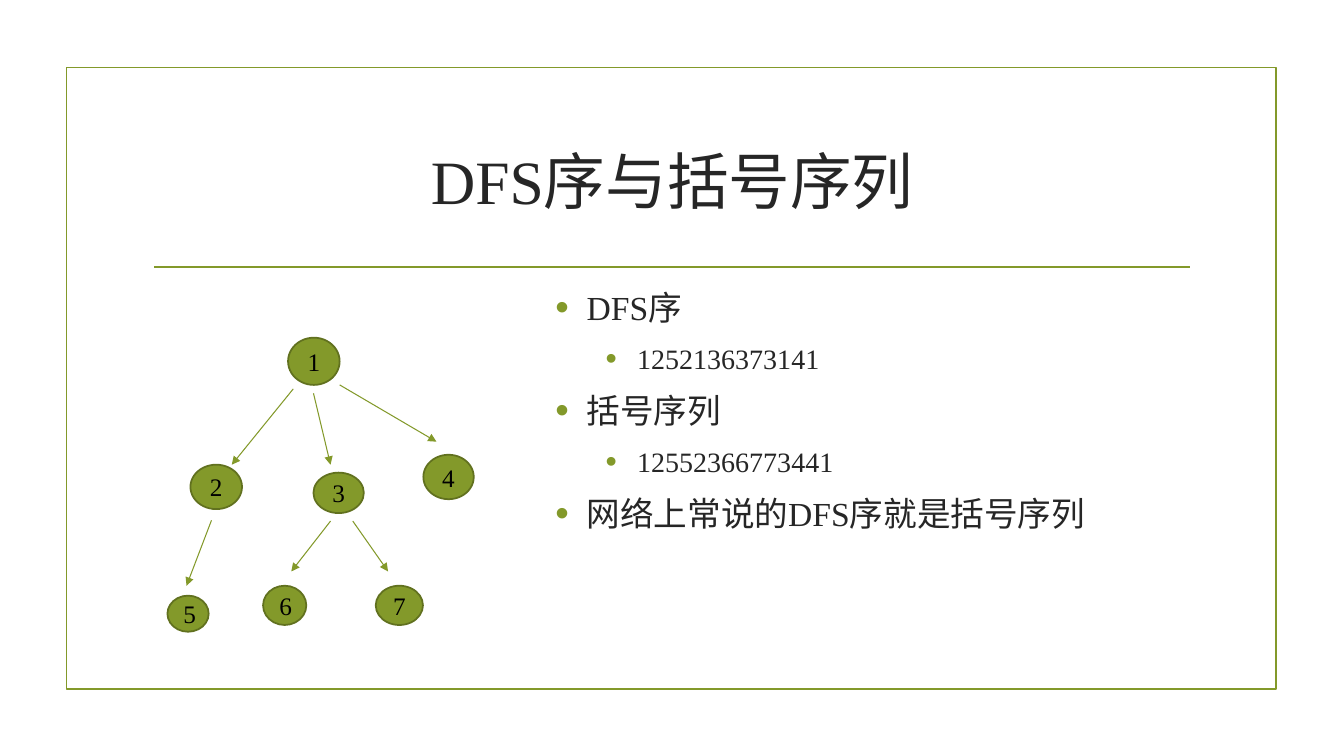
from lxml.etree import SubElement
from pptx import Presentation
from pptx.dml.color import RGBColor
from pptx.enum.shapes import MSO_CONNECTOR, MSO_SHAPE
from pptx.enum.text import MSO_ANCHOR, MSO_AUTO_SIZE, PP_ALIGN
from pptx.oxml.ns import qn
from pptx.util import Cm, Pt

COLORS = {
    "green": "83992A",
    "dark_green": "61711F",
    "text": "262626",
    "label": "000000",
}
FONT = "Times New Roman"

NODES = [
    ("1", 7.26, 8.51, 1.30, 1.19),
    ("2", 4.80, 11.71, 1.30, 1.12),
    ("3", 7.90, 11.91, 1.27, 1.02),
    ("4", 10.67, 11.46, 1.27, 1.12),
    ("5", 4.22, 15.01, 1.04, 0.91),
    ("6", 6.63, 14.76, 1.09, 0.99),
    ("7", 9.47, 14.76, 1.19, 0.99),
]
EDGES = [
    (7.39, 9.80, 5.84, 11.71),
    (7.90, 9.91, 8.33, 11.71),
    (8.56, 9.70, 11.00, 11.13),
    (5.33, 13.11, 4.70, 14.76),
    (8.33, 13.13, 7.34, 14.40),
    (8.89, 13.13, 9.78, 14.40),
]
POINTS = [
    ("DFS序", 0),
    ("1252136373141", 1),
    ("括号序列", 0),
    ("12552366773441", 1),
    ("网络上常说的DFS序就是括号序列", 0),
]


def color(name):
    return RGBColor.from_string(COLORS[name])


def place(placeholder, left, top, width, height):
    placeholder.left, placeholder.top = Cm(left), Cm(top)
    placeholder.width, placeholder.height = Cm(width), Cm(height)


def set_font(paragraph, size, color_name):
    paragraph.font.name = FONT
    paragraph.font.size = Pt(size)
    paragraph.font.color.rgb = color(color_name)


def set_outline(line, color_name, width):
    line.color.rgb = color(color_name)
    line.width = Pt(width)


def add_frame(slide):
    frame = slide.shapes.add_shape(
        MSO_SHAPE.RECTANGLE, Cm(1.68), Cm(1.70), Cm(30.48), Cm(15.67))
    frame.shadow.inherit = False
    frame.fill.background()
    set_outline(frame.line, "green", 1.25)


def add_line(slide, start_x, start_y, end_x, end_y, width, arrow=False):
    connector = slide.shapes.add_connector(
        MSO_CONNECTOR.STRAIGHT, Cm(start_x), Cm(start_y), Cm(end_x), Cm(end_y))
    set_outline(connector.line, "green", width)
    properties = connector._element.spPr
    if arrow:
        SubElement(properties.find(qn("a:ln")), qn("a:tailEnd"), type="triangle")
    SubElement(properties, qn("a:effectLst"))


def add_node(slide, label, left, top, width, height):
    node = slide.shapes.add_shape(
        MSO_SHAPE.OVAL, Cm(left), Cm(top), Cm(width), Cm(height))
    node.shadow.inherit = False
    node.fill.solid()
    node.fill.fore_color.rgb = color("green")
    set_outline(node.line, "dark_green", 1.25)
    node.text_frame.text = label
    node.text_frame.vertical_anchor = MSO_ANCHOR.MIDDLE
    paragraph = node.text_frame.paragraphs[0]
    paragraph.alignment = PP_ALIGN.CENTER
    set_font(paragraph, 18, "label")


def add_bullet(paragraph, indent):
    properties = paragraph._p.get_or_add_pPr()
    properties.set("marL", str(Cm(indent)))
    properties.set("indent", str(Cm(-0.79)))
    bullet_color = SubElement(properties, qn("a:buClr"))
    SubElement(bullet_color, qn("a:srgbClr"), val=COLORS["green"])
    SubElement(properties, qn("a:buSzPct"), val="115000")
    SubElement(properties, qn("a:buFont"), typeface="Arial")
    SubElement(properties, qn("a:buChar"), char="•")


def fill_title(title):
    place(title, 3.61, 2.72, 26.67, 3.63)
    title.text_frame.text = "DFS序与括号序列"
    title.text_frame.auto_size = MSO_AUTO_SIZE.NONE
    title.text_frame.vertical_anchor = MSO_ANCHOR.MIDDLE
    heading = title.text_frame.paragraphs[0]
    heading.alignment = PP_ALIGN.CENTER
    set_font(heading, 44, "text")


def fill_points(body):
    place(body, 13.74, 7.11, 16.54, 9.22)
    body.text_frame.text = "\n".join(text for text, _ in POINTS)
    body.text_frame.auto_size = MSO_AUTO_SIZE.NONE
    for point, (_, level) in zip(body.text_frame.paragraphs, POINTS):
        point.level = level
        point.space_after = Pt(6)
        add_bullet(point, 0.79 + 1.27 * level)
        set_font(point, 24 - 4 * level, "text")


def main():
    presentation = Presentation()
    presentation.slide_width, presentation.slide_height = Cm(33.87), Cm(19.05)
    slide = presentation.slides.add_slide(presentation.slide_layouts[1])
    add_frame(slide)
    add_line(slide, 3.89, 6.73, 30.0, 6.73, 1.25)
    fill_title(slide.shapes.title)
    fill_points(slide.placeholders[1])
    for edge in EDGES:
        add_line(slide, *edge, 0.75, arrow=True)
    for node in NODES:
        add_node(slide, *node)
    presentation.save("out.pptx")


if __name__ == "__main__":
    main()
